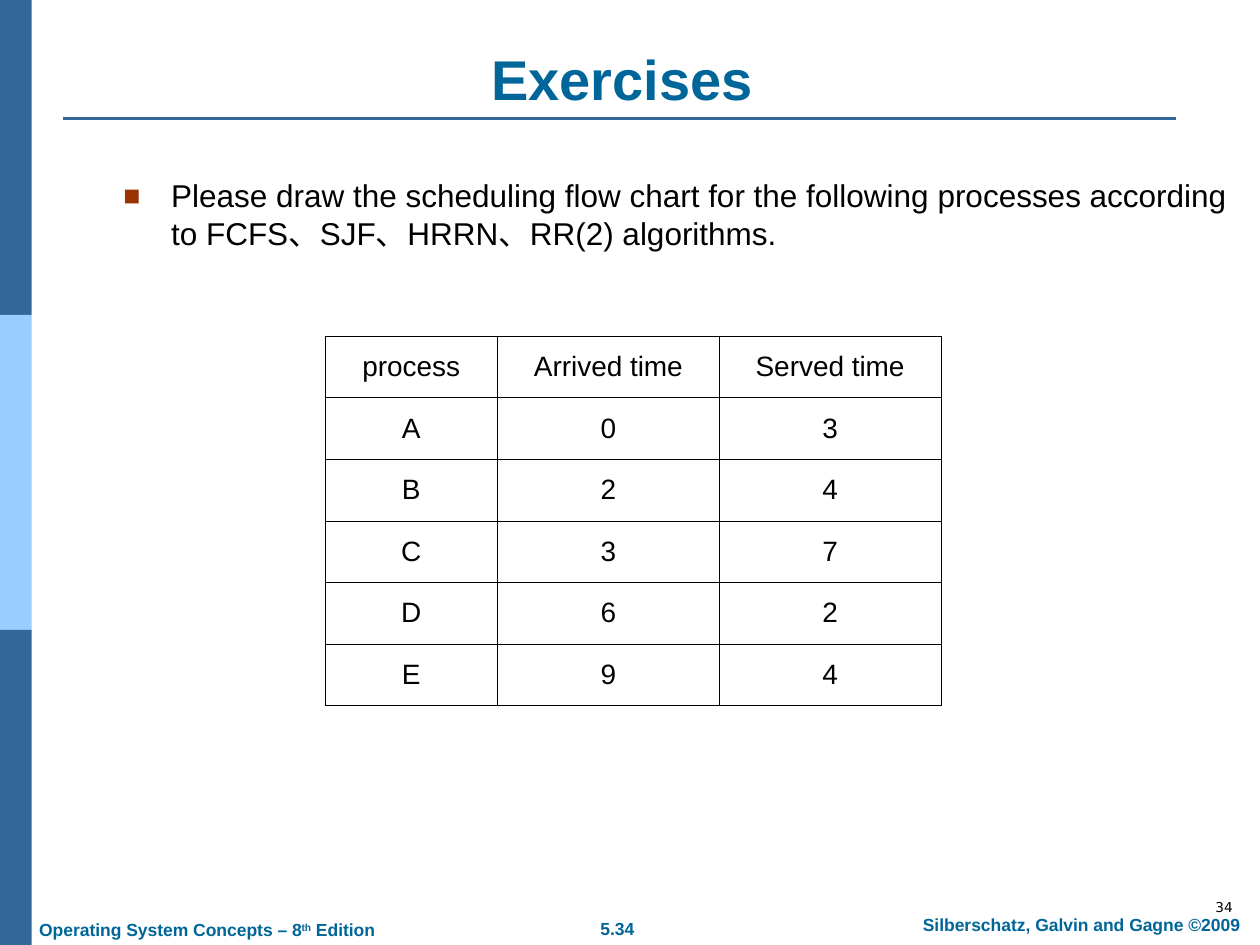
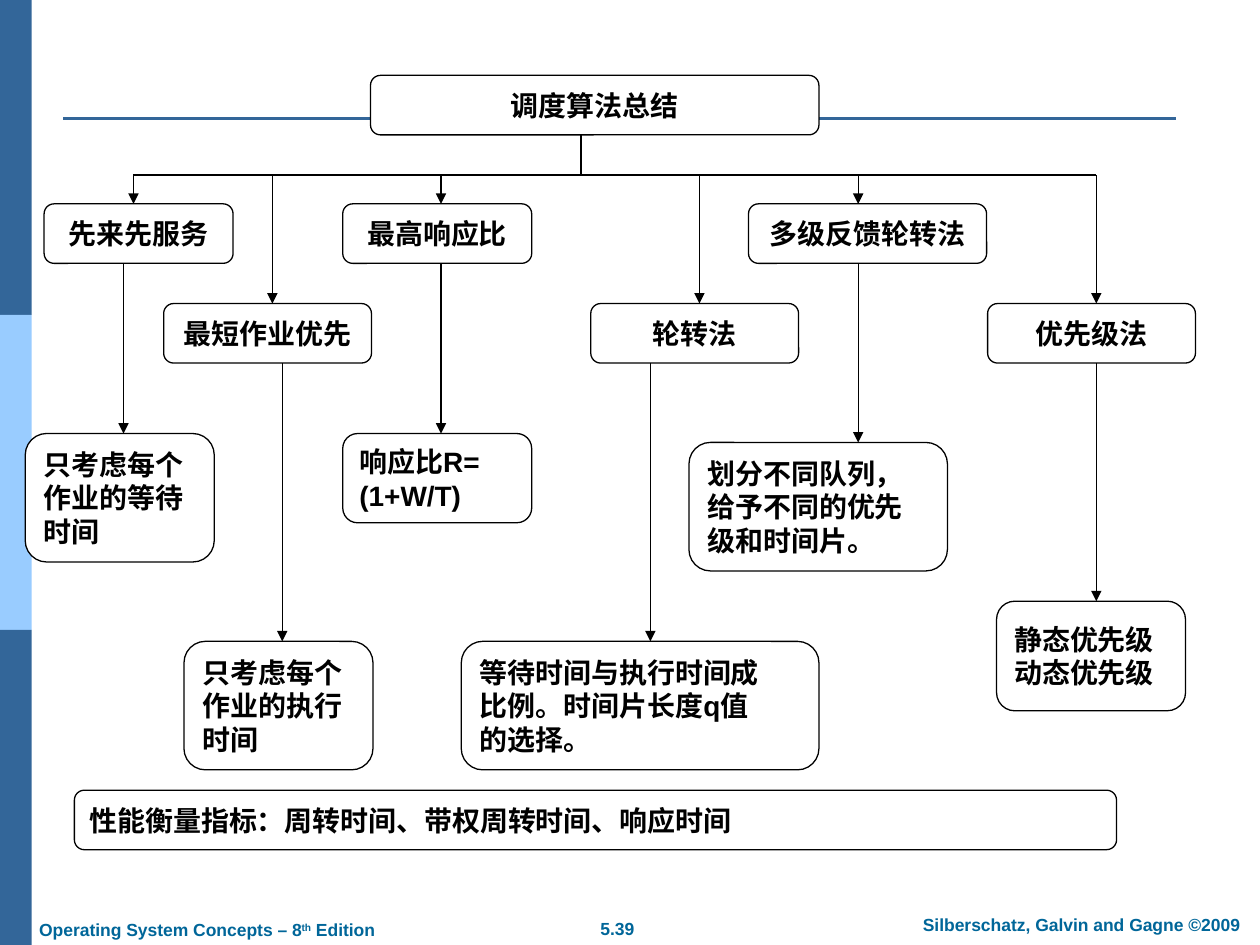
from dataclasses import dataclass

from lxml import etree
from pptx import Presentation
from pptx.dml.color import RGBColor
from pptx.enum.shapes import MSO_CONNECTOR, MSO_SHAPE
from pptx.enum.text import MSO_ANCHOR, MSO_AUTO_SIZE, PP_ALIGN
from pptx.oxml.ns import qn
from pptx.util import Cm, Pt

COLORS = {
    "band": "336699",
    "band_light": "99CCFF",
    "heading": "006699",
    "bullet": "993300",
    "ink": "000000",
    "paper": "FFFFFF",
}
FONT = "Arial"
NUMBER_FONT = "DejaVu Sans"

LEFT, CENTER, RIGHT = PP_ALIGN.LEFT, PP_ALIGN.CENTER, PP_ALIGN.RIGHT
MIDDLE = MSO_ANCHOR.MIDDLE
RECTANGLE, ROUNDED = MSO_SHAPE.RECTANGLE, MSO_SHAPE.ROUNDED_RECTANGLE
STRAIGHT = MSO_CONNECTOR.STRAIGHT
NO_AUTOFIT = MSO_AUTO_SIZE.NONE

TITLE_ONLY, BLANK = 5, 6
BAND_WIDTH, BAND_HEIGHT = 0.64, 6.35
NODE_HEIGHT = 1.2
BUS_Y = 3.53
UPPER_ROW, LOWER_ROW = 4.11, 6.12

TABLE_ROWS = [
    ("process", "Arrived time", "Served time"),
    ("A", "0", "3"),
    ("B", "2", "4"),
    ("C", "3", "7"),
    ("D", "6", "2"),
    ("E", "9", "4"),
]
COLUMN_WIDTHS = (3.48, 4.47, 4.47)
ROW_HEIGHT = 1.24


@dataclass(frozen=True)
class Box:
    """A rectangle with lines of text; lengths in centimetres."""
    left: float
    top: float
    width: float
    height: float
    lines: tuple[str, ...]

    @property
    def bottom(self) -> float:
        return self.top + self.height

    def frame(self) -> tuple:
        return Cm(self.left), Cm(self.top), Cm(self.width), Cm(self.height)


@dataclass(frozen=True)
class Algorithm:
    """A scheduling algorithm, its note, and the x of the arrows in and out."""
    name: Box
    entry_x: float
    exit_x: float
    note: Box


def node(left: float, top: float, width: float, text: str) -> Box:
    return Box(left, top, width, NODE_HEIGHT, (text,))


ROOT = node(7.47, 1.52, 9.04, "调度算法总结")
ROOT_EXIT_X = 11.71
METRICS = node(1.5, 15.93, 21.01, "性能衡量指标：周转时间、带权周转时间、响应时间")
ALGORITHMS = [
    Algorithm(node(0.89, UPPER_ROW, 3.81, "先来先服务"), 2.69, 2.49,
              Box(0.51, 8.74, 3.81, 2.59, ("只考虑每个", "作业的等待", "时间"))),
    Algorithm(node(3.3, LOWER_ROW, 4.19, "最短作业优先"), 5.49, 5.69,
              Box(3.71, 12.93, 3.81, 2.59, ("只考虑每个", "作业的执行", "时间"))),
    Algorithm(node(6.91, UPPER_ROW, 3.81, "最高响应比"), 8.89, 8.89,
              Box(6.91, 8.74, 3.81, 1.8, ("响应比R=", "(1+W/T)"))),
    Algorithm(node(11.91, LOWER_ROW, 4.19, "轮转法"), 14.1, 13.11,
              Box(9.3, 12.93, 7.21, 2.59,
                  ("等待时间与执行时间成", "比例。时间片长度q值", "的选择。"))),
    Algorithm(node(15.09, UPPER_ROW, 4.8, "多级反馈轮转法"), 17.3, 17.3,
              Box(13.89, 8.92, 5.21, 2.59,
                  ("划分不同队列，", "给予不同的优先", "级和时间片。"))),
    Algorithm(node(19.91, LOWER_ROW, 4.19, "优先级法"), 22.1, 22.1,
              Box(20.09, 12.12, 3.81, 2.21, ("静态优先级", "动态优先级"))),
]


def rgb(name: str) -> RGBColor:
    return RGBColor.from_string(COLORS[name])


def add_run(paragraph, text: str, size: float, color: str = "ink",
            bold: bool = False, font: str = FONT):
    run = paragraph.add_run()
    run.text = text
    run.font.name = font
    run.font.size = Pt(size)
    run.font.bold = bold
    run.font.color.rgb = rgb(color)
    return run


def add_text_box(slide, left: float, top: float, width: float, height: float,
                 align: PP_ALIGN = LEFT):
    """Add a wrapping text box and return its first paragraph."""
    shape = slide.shapes.add_textbox(Cm(left), Cm(top), Cm(width), Cm(height))
    shape.text_frame.word_wrap = True
    paragraph = shape.text_frame.paragraphs[0]
    paragraph.alignment = align
    return paragraph


def add_line(slide, start: tuple[float, float], end: tuple[float, float],
             color: str = "ink", width: float = 0.75, arrow: bool = False) -> None:
    points = [Cm(value) for value in (*start, *end)]
    connector = slide.shapes.add_connector(STRAIGHT, *points)
    connector.line.color.rgb = rgb(color)
    connector.line.width = Pt(width)
    if arrow:
        etree.SubElement(connector.line._get_or_add_ln(), qn("a:tailEnd"), type="triangle")
    etree.SubElement(connector._element.spPr, qn("a:effectLst"))


def add_node(slide, box: Box, align: PP_ALIGN = LEFT) -> None:
    shape = slide.shapes.add_shape(ROUNDED, *box.frame())
    shape.shadow.inherit = False
    shape.fill.solid()
    shape.fill.fore_color.rgb = rgb("paper")
    shape.line.color.rgb = rgb("ink")
    shape.line.width = Pt(0.75)
    text_frame = shape.text_frame
    text_frame.word_wrap = True
    text_frame.vertical_anchor = MIDDLE
    for index, line in enumerate(box.lines):
        paragraph = text_frame.add_paragraph() if index else text_frame.paragraphs[0]
        paragraph.alignment = align
        add_run(paragraph, line, 16, bold=True)


def add_page(presentation, layout: int, page: str):
    """Add a slide with the side bands, the title rule and the footers."""
    slide = presentation.slides.add_slide(presentation.slide_layouts[layout])
    for index, color in enumerate(("band", "band_light", "band")):
        band = slide.shapes.add_shape(RECTANGLE, 0, Cm(index * BAND_HEIGHT),
                                      Cm(BAND_WIDTH), Cm(BAND_HEIGHT))
        band.shadow.inherit = False
        band.fill.solid()
        band.fill.fore_color.rgb = rgb(color)
        band.line.fill.background()
    add_line(slide, (1.27, 2.39), (23.7, 2.39), "band", 1.5)

    number = add_text_box(slide, 11.2, 18.38, 2.49, 0.69, CENTER)
    add_run(number, page, 10, "heading", True)
    copyright_line = add_text_box(slide, 18.03, 18.3, 7.54, 0.69, CENTER)
    add_run(copyright_line, "Silberschatz, Galvin and Gagne ©2009", 10, "heading", True)
    book = add_text_box(slide, 0.54, 18.4, 9, 0.69)
    add_run(book, "Operating System Concepts – 8", 10, "heading", True)
    ordinal = add_run(book, "th", 10, "heading", True)
    ordinal._r.get_or_add_rPr().set("baseline", "30000")
    add_run(book, " Edition", 10, "heading", True)
    return slide


def set_title(slide, text: str) -> None:
    title = slide.shapes.title
    title.left, title.top, title.width, title.height = Cm(1.27), Cm(0.78), Cm(22.86), Cm(1.6)
    title.text_frame.auto_size = NO_AUTOFIT
    title.text_frame.vertical_anchor = MIDDLE
    paragraph = title.text_frame.paragraphs[0]
    paragraph.alignment = CENTER
    add_run(paragraph, text, 32, "heading", True)


def add_bullet(paragraph) -> None:
    properties = paragraph._p.get_or_add_pPr()
    properties.set("marL", str(Cm(0.96)))
    properties.set("indent", str(-Cm(0.96)))
    color = etree.SubElement(properties, qn("a:buClr"))
    etree.SubElement(color, qn("a:srgbClr"), val=COLORS["bullet"])
    etree.SubElement(properties, qn("a:buSzPct"), val="90000")
    etree.SubElement(properties, qn("a:buFont"), typeface=FONT)
    etree.SubElement(properties, qn("a:buChar"), char="■")


def add_cell_borders(cell) -> None:
    properties = cell._tc.get_or_add_tcPr()
    for index, side in enumerate(("a:lnL", "a:lnR", "a:lnT", "a:lnB")):
        border = etree.Element(qn(side), w=str(Pt(0.45)))
        fill = etree.SubElement(border, qn("a:solidFill"))
        etree.SubElement(fill, qn("a:srgbClr"), val=COLORS["ink"])
        properties.insert(index, border)


def add_process_table(slide) -> None:
    frame = slide.shapes.add_table(
        len(TABLE_ROWS), len(COLUMN_WIDTHS), Cm(6.55), Cm(6.78),
        Cm(sum(COLUMN_WIDTHS)), Cm(ROW_HEIGHT * len(TABLE_ROWS)))
    table = frame.table
    for column, width in zip(table.columns, COLUMN_WIDTHS):
        column.width = Cm(width)
    for row, values in zip(table.rows, TABLE_ROWS):
        row.height = Cm(ROW_HEIGHT)
        for cell, value in zip(row.cells, values):
            cell.fill.solid()
            cell.fill.fore_color.rgb = rgb("paper")
            cell.vertical_anchor = MIDDLE
            add_cell_borders(cell)
            paragraph = cell.text_frame.paragraphs[0]
            paragraph.alignment = CENTER
            add_run(paragraph, value, 16)


def build_exercises(presentation) -> None:
    slide = add_page(presentation, TITLE_ONLY, "5.34")
    set_title(slide, "Exercises ")
    number = add_text_box(slide, 19.18, 18.06, 5.92, 0.69, RIGHT)
    number.line_spacing = 0.8
    add_run(number, "34", 7.8, font=NUMBER_FONT)
    task = add_text_box(slide, 2.24, 3.43, 22.83, 12.6)
    add_bullet(task)
    add_run(task, "Please draw the scheduling flow chart for the following processes "
                  "according to FCFS、SJF、HRRN、RR(2) algorithms.", 18)
    add_process_table(slide)


def build_summary(presentation) -> None:
    slide = add_page(presentation, BLANK, "5.39")
    add_node(slide, ROOT, CENTER)
    add_line(slide, (ROOT_EXIT_X, ROOT.bottom), (ROOT_EXIT_X, BUS_Y))
    add_line(slide, (ALGORITHMS[0].entry_x, BUS_Y), (ALGORITHMS[-1].entry_x, BUS_Y))
    for algorithm in ALGORITHMS:
        name, note = algorithm.name, algorithm.note
        add_line(slide, (algorithm.entry_x, BUS_Y), (algorithm.entry_x, name.top), arrow=True)
        add_node(slide, name, CENTER)
        add_line(slide, (algorithm.exit_x, name.bottom), (algorithm.exit_x, note.top), arrow=True)
        add_node(slide, note)
    add_node(slide, METRICS)


def main() -> None:
    presentation = Presentation()
    presentation.slide_width, presentation.slide_height = Cm(25.4), Cm(19.05)
    build_exercises(presentation)
    build_summary(presentation)
    presentation.save("out.pptx")


if __name__ == "__main__":
    main()
